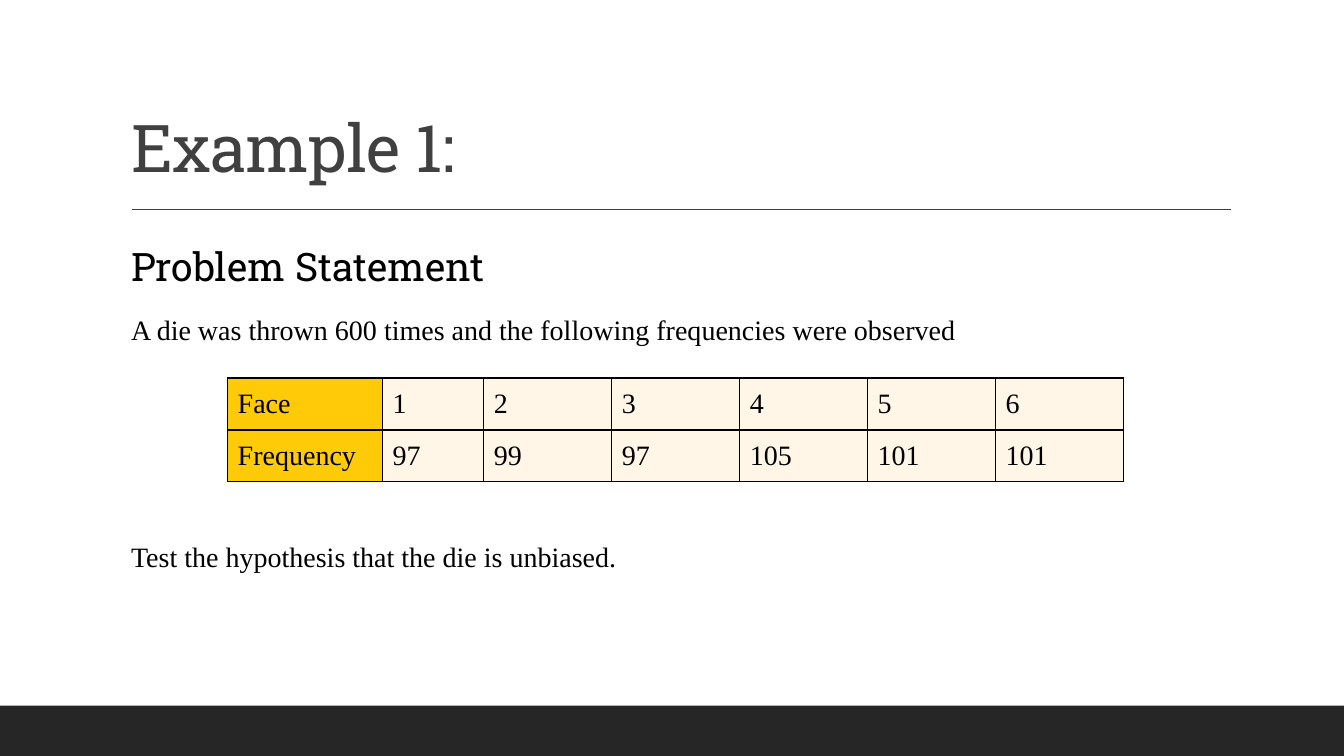
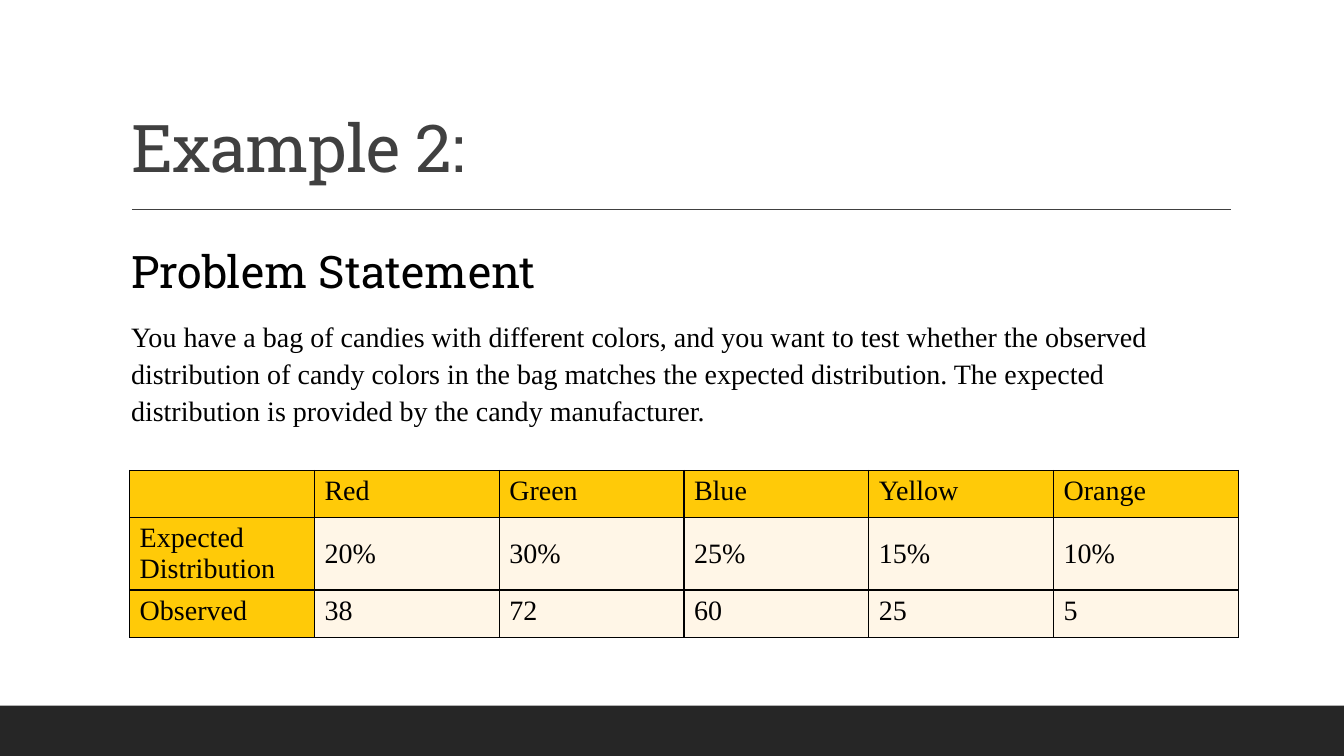
from lxml import etree
from pptx import Presentation
from pptx.dml.color import RGBColor
from pptx.enum import shapes, text
from pptx.oxml import ns
from pptx.util import Pt

SERIF = "Times New Roman"
SLAB = "Roboto Slab"
BLACK, GREY, DARK = "000000", "404040", "262626"
GOLD, CREAM = "FFCA08", "FFF6E7"
WIDTH, HEIGHT = 960, 540
TITLE_BOX = (86.4, 77.8, 792, 59)
BODY_BOX = (86.4, 166.3, 792, 296)


def color(value):
    """Turn a hex string into a colour."""
    return RGBColor.from_string(value)


def place(shape, box):
    """Move a shape to a box of left, top, width and height."""
    shape.left, shape.top, shape.width, shape.height = map(Pt, box)


def style_runs(paragraph, name, size, hex_color):
    """Set the font of every run in a paragraph."""
    for run in paragraph.runs:
        run.font.name, run.font.size = name, Pt(size)
        run.font.color.rgb = color(hex_color)


def define_layout(layout, slide):
    """Put the band, the rule and the placeholder boxes on the layout."""
    place(layout.placeholders[0], TITLE_BOX)
    place(layout.placeholders[1], BODY_BOX)
    band = slide.shapes.add_shape(
        shapes.MSO_SHAPE.RECTANGLE, 0, Pt(HEIGHT - 36), Pt(WIDTH), Pt(36))
    band.shadow.inherit = False
    band.fill.solid()
    band.fill.fore_color.rgb = color(DARK)
    band.line.fill.background()
    rule = slide.shapes.add_connector(
        shapes.MSO_CONNECTOR.STRAIGHT, Pt(94.3), Pt(149.5), Pt(879), Pt(149.5))
    rule.line.color.rgb = color(GREY)
    rule.line.width = Pt(1)
    etree.SubElement(rule.element.spPr, ns.qn("a:effectLst"))
    for shape in (band, rule):
        layout.shapes.element.append(shape.element)


def fill_title(slide, words):
    """Write the slide title."""
    frame = slide.shapes.title.text_frame
    frame.text = words
    frame.auto_size = text.MSO_AUTO_SIZE.NONE
    frame.vertical_anchor = text.MSO_ANCHOR.BOTTOM
    paragraph = frame.paragraphs[0]
    paragraph.alignment = text.PP_ALIGN.LEFT
    paragraph.line_spacing = 0.9
    style_runs(paragraph, SLAB, 47, GREY)
    paragraph.runs[0]._r.get_or_add_rPr().set("spc", "-50")


def fill_body(slide, heading_size, lines):
    """Write the heading and the (text, space before) lines below it."""
    frame = slide.placeholders[1].text_frame
    frame.text = "\n".join(["Problem Statement"] + [words for words, _ in lines])
    frame.auto_size = text.MSO_AUTO_SIZE.NONE
    frame.margin_left, frame.margin_right = Pt(7.2), 0
    gaps = [0] + [gap for _, gap in lines]
    for index, (paragraph, gap) in enumerate(zip(frame.paragraphs, gaps)):
        properties = paragraph._p.get_or_add_pPr()
        properties.set("marL", "0")
        properties.set("indent", "0")
        etree.SubElement(properties, ns.qn("a:buNone"))
        paragraph.line_spacing = 1.1
        paragraph.space_before, paragraph.space_after = Pt(gap), Pt(2)
        name, size = (SERIF, 20) if index else (SLAB, heading_size)
        style_runs(paragraph, name, size, BLACK)


def add_borders(cell):
    """Draw a thin black line on each side of a cell."""
    properties = cell._tc.get_or_add_tcPr()
    for side in ("a:lnL", "a:lnR", "a:lnT", "a:lnB"):
        line = etree.SubElement(properties, ns.qn(side), w=str(Pt(1)))
        fill = etree.SubElement(line, ns.qn("a:solidFill"))
        etree.SubElement(fill, ns.qn("a:srgbClr"), val=BLACK)


def add_data_table(slide, left, top, widths, row_height, rows, header_rows, middle_rows):
    """Add a table with a gold first column and gold header rows."""
    table = slide.shapes.add_table(
        len(rows), len(widths), Pt(left), Pt(top),
        Pt(sum(widths)), Pt(row_height * len(rows))).table
    table.first_row = table.horz_banding = False
    for column, width in zip(table.columns, widths):
        column.width = Pt(width)
    for row_index, values in enumerate(rows):
        table.rows[row_index].height = Pt(row_height)
        for column_index, value in enumerate(values):
            cell = table.cell(row_index, column_index)
            add_borders(cell)
            is_header = row_index < header_rows or column_index == 0
            cell.fill.solid()
            cell.fill.fore_color.rgb = color(GOLD if is_header else CREAM)
            if row_index in middle_rows:
                cell.vertical_anchor = text.MSO_ANCHOR.MIDDLE
            cell.text_frame.text = value
            style_runs(cell.text_frame.paragraphs[0], SERIF, 20, BLACK)


def build_die_slide(slide):
    """Build the example of the die."""
    fill_title(slide, "Example 1:")
    fill_body(slide, 28, [
        ("A die was thrown 600 times and the following frequencies were observed", 12),
        ("Test the hypothesis that the die is unbiased.", 134),
    ])
    add_data_table(slide, 162.6, 270, [110.7, 72.3] + [91.4] * 5, 37.1, [
        ["Face", "1", "2", "3", "4", "5", "6"],
        ["Frequency", "97", "99", "97", "105", "101", "101"],
    ], header_rows=0, middle_rows=(0, 1))


def build_candy_slide(slide):
    """Build the example of the candies."""
    fill_title(slide, "Example 2:")
    fill_body(slide, 32, [
        ("You have a bag of candies with different colors, and you want to test "
         "whether the observed distribution of candy colors in the bag matches "
         "the expected distribution. The expected distribution is provided by "
         "the candy manufacturer.", 12),
    ])
    add_data_table(slide, 92.6, 336, [132] * 6, 33.8, [
        ["", "Red", "Green", "Blue", "Yellow", "Orange"],
        ["Expected Distribution", "20%", "30%", "25%", "15%", "10%"],
        ["Observed", "38", "72", "60", "25", "5"],
    ], header_rows=1, middle_rows=(1,))


def main():
    """Build and save the presentation."""
    presentation = Presentation()
    presentation.slide_width, presentation.slide_height = Pt(WIDTH), Pt(HEIGHT)
    layout = presentation.slide_layouts[1]
    builders = (build_die_slide, build_candy_slide)
    slides = [presentation.slides.add_slide(layout) for _ in builders]
    define_layout(layout, slides[0])
    for build, slide in zip(builders, slides):
        build(slide)
    presentation.save("out.pptx")


if __name__ == "__main__":
    main()
